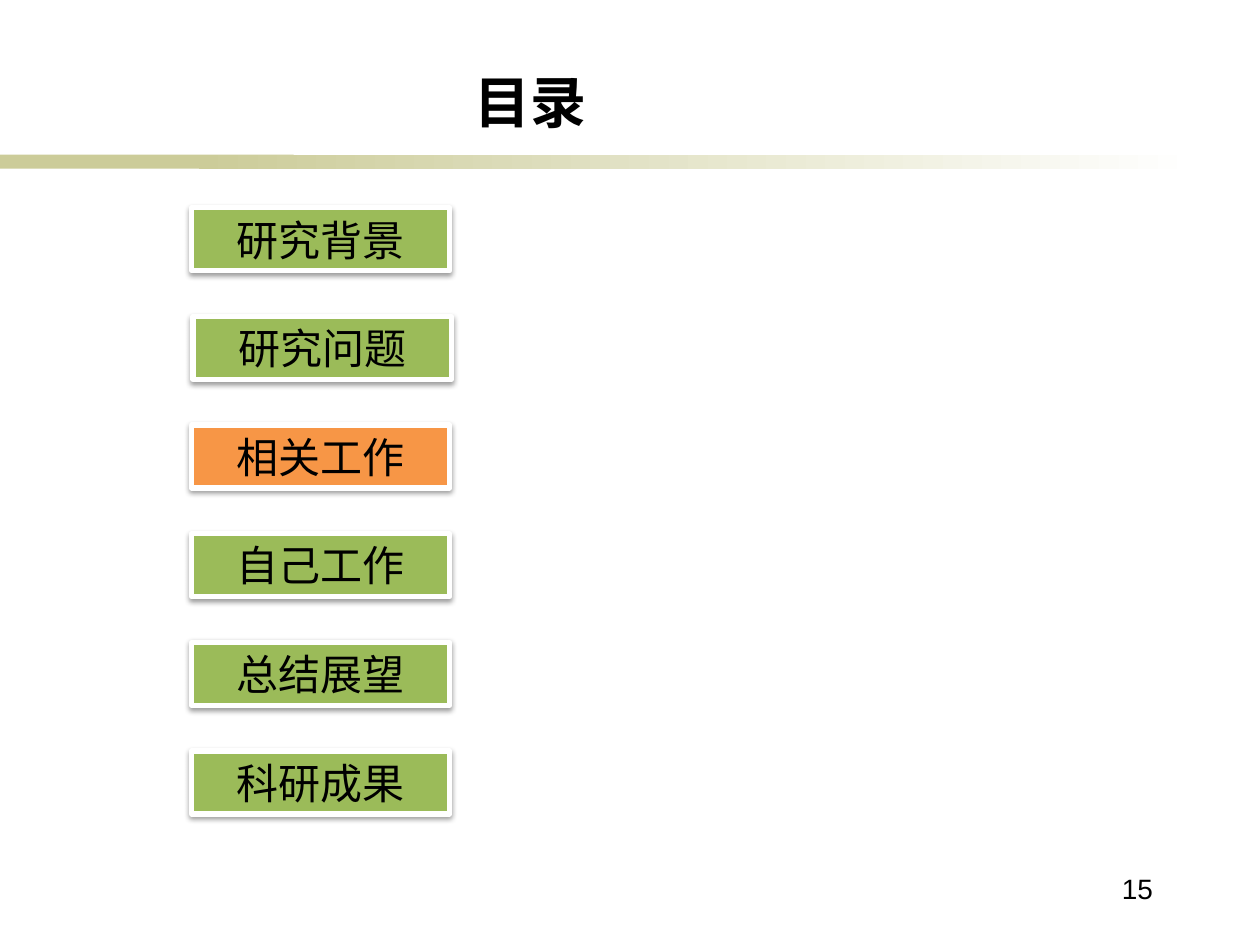
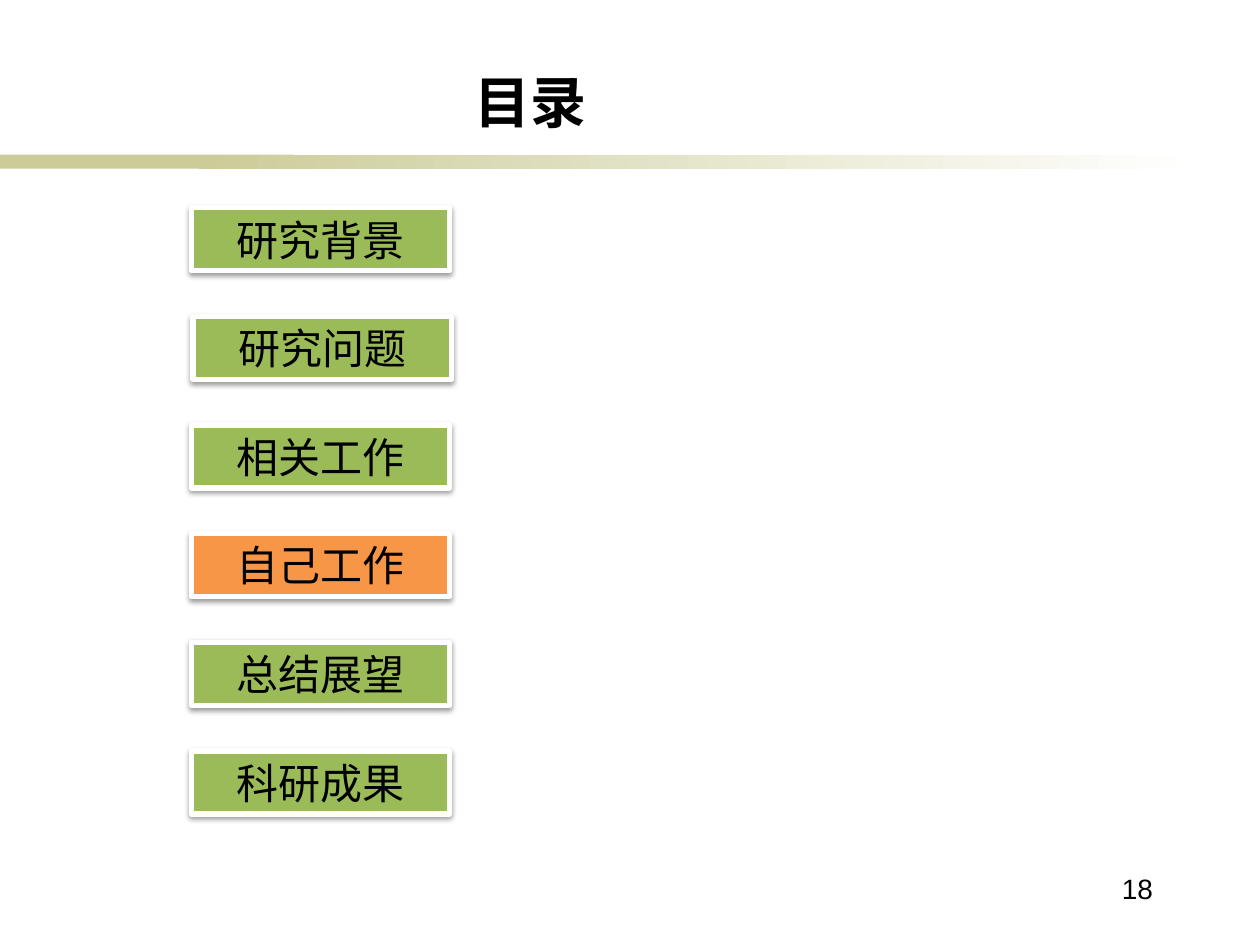
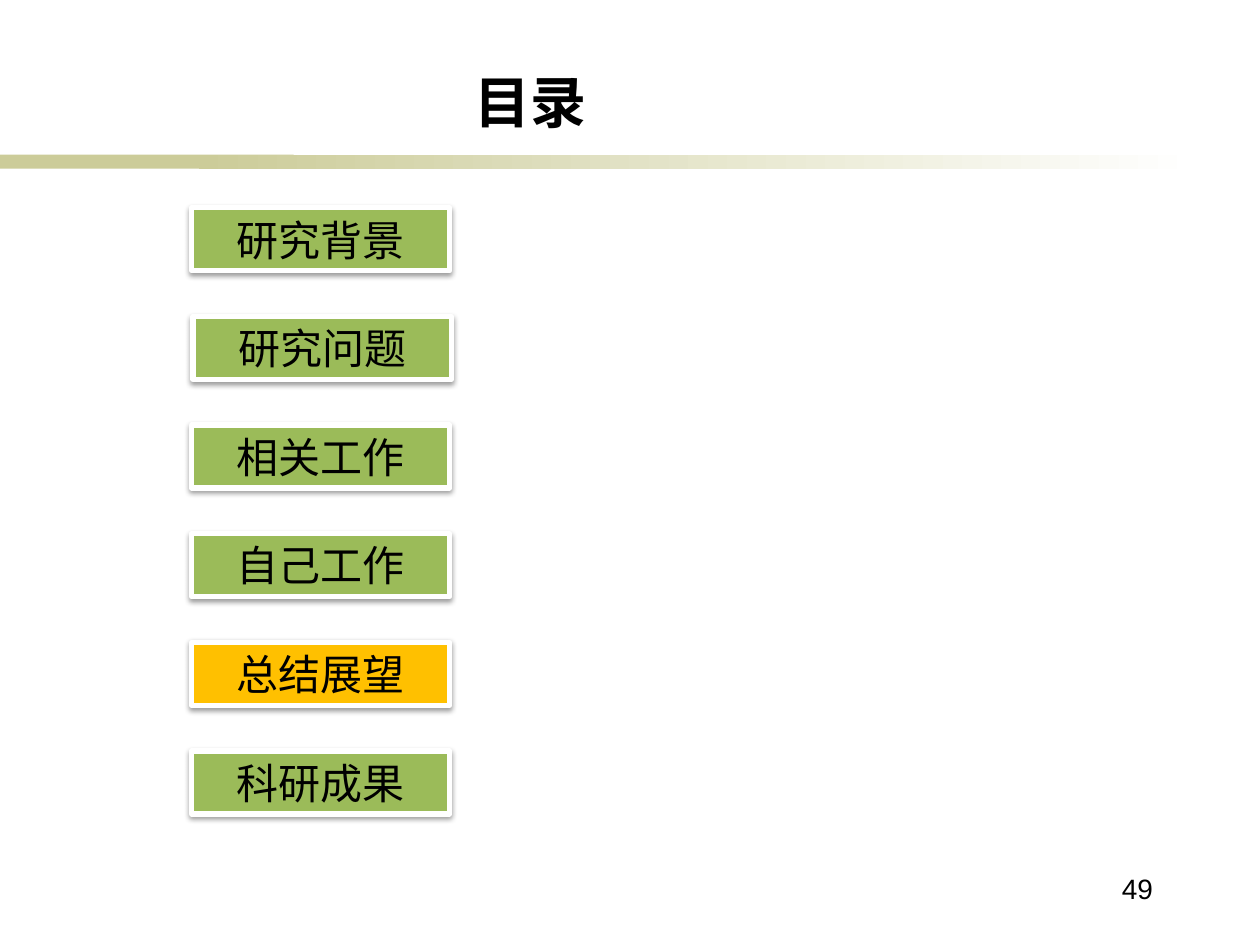
"""Build the three agenda slides that open the chapters of a research talk."""
from dataclasses import dataclass

from lxml.etree import SubElement
from pptx import Presentation
from pptx.dml.color import RGBColor
from pptx.enum.shapes import MSO_SHAPE
from pptx.enum.text import MSO_ANCHOR, PP_ALIGN
from pptx.oxml.ns import qn
from pptx.util import Cm, Pt


@dataclass(frozen=True)
class Theme:
    text: RGBColor = RGBColor(0x00, 0x00, 0x00)
    paper: RGBColor = RGBColor(0xFF, 0xFF, 0xFF)
    band: RGBColor = RGBColor(0xCC, 0xCC, 0x99)
    topic: RGBColor = RGBColor(0x9B, 0xBB, 0x59)
    orange: RGBColor = RGBColor(0xF7, 0x96, 0x46)
    amber: RGBColor = RGBColor(0xFF, 0xC0, 0x00)
    chinese_font: str = "Noto Sans CJK SC"
    number_font: str = "Arial"
    title_size: int = 32
    topic_size: int = 24
    number_size: int = 16


THEME = Theme()
TOPICS = ("研究背景", "研究问题", "相关工作", "自己工作", "总结展望", "科研成果")
AGENDAS = (
    ("15", "相关工作", THEME.orange),
    ("18", "自己工作", THEME.orange),
    ("49", "总结展望", THEME.amber),
)
TOPIC_LEFT, TOPIC_TOP, TOPIC_PITCH = 3.86, 4.19, 2.19


class Deck:
    def __init__(self, theme):
        self.theme = theme
        self.presentation = Presentation()
        self.presentation.slide_width = Cm(25.4)
        self.presentation.slide_height = Cm(19.05)
        self.layout = self.presentation.slide_layouts[5]
        for footer in list(self.layout.placeholders)[1:]:
            footer.element.getparent().remove(footer.element)
        self.slide = None

    def new_slide(self):
        self.slide = self.presentation.slides.add_slide(self.layout)

    def set_text(self, frame, text, size, font_name, align, bold=False):
        frame.text = text
        frame.word_wrap = True
        paragraph = frame.paragraphs[0]
        paragraph.alignment = align
        run = paragraph.runs[0]
        run.font.size = Pt(size)
        run.font.bold = bold
        run.font.color.rgb = self.theme.text
        run.font.name = font_name
        SubElement(run.font._element, qn("a:ea"), typeface=font_name)

    def rectangle(self, left, top, width, height):
        box = self.slide.shapes.add_shape(
            MSO_SHAPE.RECTANGLE, Cm(left), Cm(top), Cm(width), Cm(height))
        box.shadow.inherit = False
        box.line.fill.background()
        return box

    def shared_band(self):
        solid = self.rectangle(0, 3.12, 5.92, 0.28)
        solid.fill.solid()
        solid.fill.fore_color.rgb = self.theme.band
        fade = self.rectangle(4.01, 3.12, 20.12, 0.28)
        fade.fill.gradient()
        fade.fill.gradient_angle = 0
        for stop, color in zip(fade.fill.gradient_stops, (self.theme.band, self.theme.paper)):
            stop.color.rgb = color
        for part in (solid, fade):
            self.layout.shapes.element.append(part.element)

    def title(self, text):
        heading = self.slide.shapes.title
        heading.left, heading.top = Cm(2.9), Cm(1.12)
        heading.width, heading.height = Cm(15.6), Cm(1.6)
        frame = heading.text_frame
        frame.margin_left = frame.margin_right = frame.margin_top = frame.margin_bottom = 0
        frame.vertical_anchor = MSO_ANCHOR.BOTTOM
        self.set_text(frame, text, self.theme.title_size, self.theme.chinese_font,
                      PP_ALIGN.CENTER, bold=True)

    def page_number(self, number):
        corner = self.slide.shapes.add_textbox(Cm(20.9), Cm(17.45), Cm(2.59), Cm(1.27))
        self.set_text(corner.text_frame, number, self.theme.number_size,
                      self.theme.number_font, PP_ALIGN.RIGHT)

    def topic(self, text, left, top, color):
        card = self.rectangle(left, top, 5.21, 1.27)
        card.fill.solid()
        card.fill.fore_color.rgb = color
        card.line.color.rgb = self.theme.paper
        card.line.width = Pt(3)
        effects = card.element.spPr.find(qn("a:effectLst"))
        shadow = SubElement(effects, qn("a:outerShdw"), blurRad="40000", dist="20000",
                            dir="5400000", rotWithShape="0")
        shade = SubElement(shadow, qn("a:srgbClr"), val=str(self.theme.text))
        SubElement(shade, qn("a:alpha"), val="38000")
        card.text_frame.vertical_anchor = MSO_ANCHOR.TOP
        self.set_text(card.text_frame, text, self.theme.topic_size, self.theme.chinese_font,
                      PP_ALIGN.CENTER)

    def agenda(self, current, highlight):
        for row, name in enumerate(TOPICS):
            left = TOPIC_LEFT + (0.03 if row == 1 else 0)
            color = highlight if name == current else self.theme.topic
            self.topic(name, left, TOPIC_TOP + row * TOPIC_PITCH, color)


def main():
    deck = Deck(THEME)
    for index, (number, current, highlight) in enumerate(AGENDAS):
        deck.new_slide()
        if index == 0:
            deck.shared_band()
        deck.page_number(number)
        deck.title("目录")
        deck.agenda(current, highlight)
    deck.presentation.save("out.pptx")


if __name__ == "__main__":
    main()
